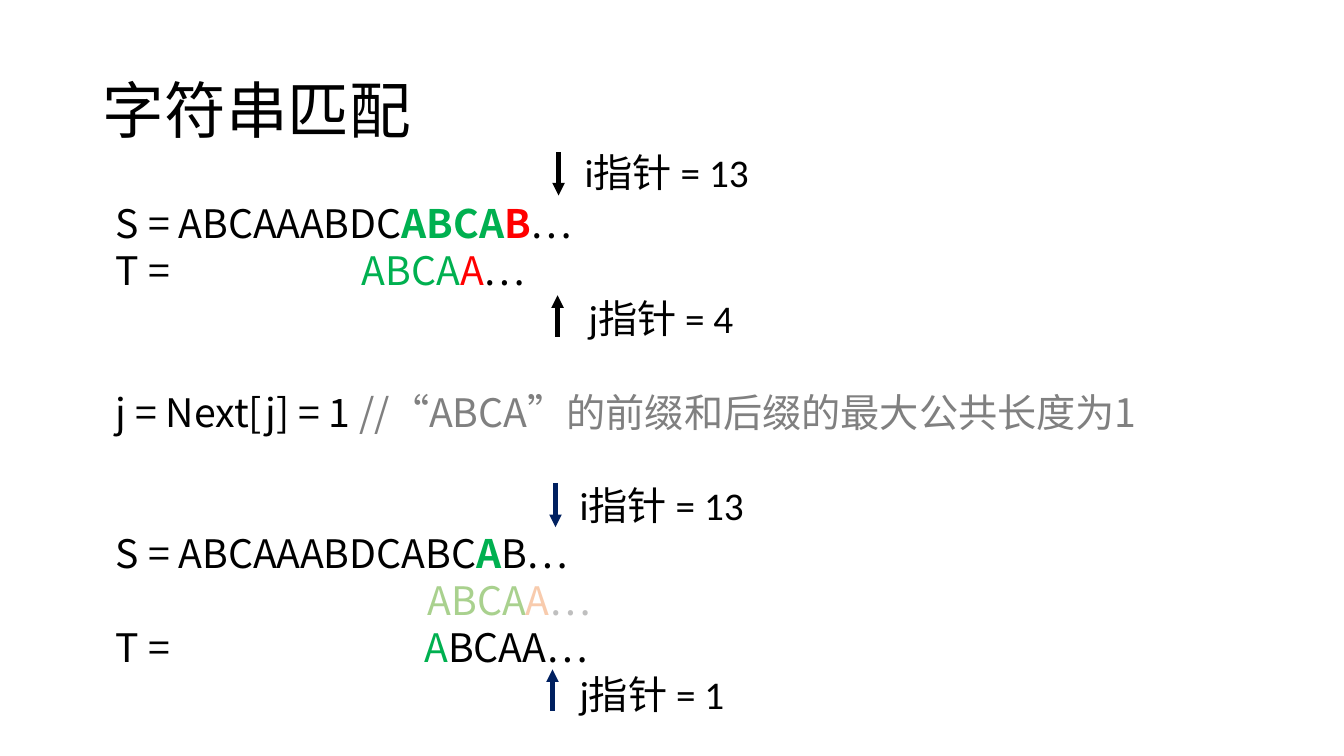
from lxml.etree import SubElement
from pptx import Presentation
from pptx.dml.color import RGBColor
from pptx.enum.shapes import MSO_CONNECTOR as CONN
from pptx.enum.text import MSO_ANCHOR as ANCHOR, MSO_AUTO_SIZE as AUTO, PP_ALIGN as ALIGN
from pptx.oxml.ns import qn
from pptx.util import Inches, Pt

# Content
TITLE = "字符串匹配"

# (row, indent in inches, runs of (text, colour, bold))
LINES = [
    (0, 0, [("S = ABCAAABDC", "text", False), ("ABCA", "match", True),
            ("B", "miss", True), ("…", "text", False)]),
    (1, 0, [("T =", "text", False)]),
    (4, 0, [("j = Next[j] = 1 ", "text", False),
            ("//“ABCA”的前缀和后缀的最大公共长度为1", "comment", False)]),
    (7, 0, [("S = ABCAAABDCABC", "text", False), ("A", "match", True),
            ("B…", "text", False)]),
    (8, 3.09, [("ABCA", "old_match", False), ("A", "old_miss", False),
               ("…", "old_rest", False)]),
    (9, 0, [("T =", "text", False)]),
]

# Pattern T, shifted along its row: (row, shift in inches, runs)
PATTERNS = [
    (1, 2.44, [("ABCA", "match", False), ("A", "miss", False), ("…", "text", False)]),
    (9, 3.06, [("A", "match", False), ("BCAA…", "text", False)]),
]

# (text, label left, label top, arrow x, arrow start y, arrow tip y, arrow colour)
POINTERS = [
    ("i指针 = 13", 5.70, 1.42, 5.54, 1.51, 1.94, "text"),
    ("j指针 = 4", 5.74, 2.87, 5.53, 3.34, 2.93, "text"),
    ("i指针 = 13", 5.65, 4.73, 5.51, 4.79, 5.23, "navy"),
    ("j指针 = 1", 5.65, 6.60, 5.48, 7.05, 6.64, "navy"),
]
LABEL_SIZE = (2.11, 0.57)
BODY_LEFT, BODY_TOP = 1.05, 1.93

THEME = {
    "colors": {"text": "000000", "match": "00B050", "miss": "FF0000",
               "comment": "808080", "old_match": "A9D18E", "old_miss": "F8CBAD",
               "old_rest": "BFBFBF", "navy": "002060"},
    "cjk": "Noto Sans CJK SC", "latin": "Calibri",
    "title": 44, "body": 28, "pitch": 33.65, "arrow": 3,
}


def color(name):
    return RGBColor.from_string(THEME["colors"][name])


def set_attrs(obj, values):
    for name, value in values.items():
        setattr(obj, name, value)


def place(sp, left, top, width, height):
    set_attrs(sp, {"left": Inches(left), "top": Inches(top),
                   "width": Inches(width), "height": Inches(height)})


def add_run(p, text, size, font, name="text", bold=False):
    r = p.add_run()
    r.text = text
    set_attrs(r.font, {"size": Pt(size), "name": font, "bold": bold})
    r.font.color.rgb = color(name)
    SubElement(r.font._element, qn("a:ea"), typeface=THEME["cjk"])


def write_line(p, runs, skipped=0, indent=0):
    """Fill one unbulleted line on the row grid."""
    set_attrs(p, {"line_spacing": Pt(THEME["pitch"]),
                  "space_before": Pt(skipped * THEME["pitch"])})
    pPr = p._p.get_or_add_pPr()
    pPr.set("marL", str(int(Inches(indent))))
    pPr.set("indent", "0")
    SubElement(pPr, qn("a:buNone"))
    for text, name, bold in runs:
        add_run(p, text, THEME["body"], THEME["cjk"], name, bold)


def add_text_box(slide, left, top):
    tf = slide.shapes.add_textbox(
        Inches(left), Inches(top), *map(Inches, LABEL_SIZE)).text_frame
    tf.word_wrap = True
    return tf.paragraphs[0]


def add_arrow(slide, x, start, tip, name):
    line = slide.shapes.add_connector(
        CONN.STRAIGHT, Inches(x), Inches(start), Inches(x), Inches(tip))
    line.line.color.rgb = color(name)
    line.line.width = Pt(THEME["arrow"])
    SubElement(line.line._get_or_add_ln(), qn("a:tailEnd"), type="triangle")
    SubElement(line._element.spPr, qn("a:effectLst"))


def main():
    prs = Presentation()
    set_attrs(prs, {"slide_width": Inches(13.33), "slide_height": Inches(7.5)})
    slide = prs.slides.add_slide(prs.slide_layouts[1])

    # Title
    title, body = slide.placeholders
    place(title, 0.92, 0.4, 11.5, 1.45)
    set_attrs(title.text_frame, {"vertical_anchor": ANCHOR.MIDDLE, "auto_size": AUTO.NONE})
    p = title.text_frame.paragraphs[0]
    set_attrs(p, {"alignment": ALIGN.LEFT, "line_spacing": 0.9})
    add_run(p, TITLE, THEME["title"], THEME["cjk"])

    # Strings being matched
    place(body, BODY_LEFT, BODY_TOP, 11.37, 4.81)
    tf = body.text_frame
    set_attrs(tf, {"vertical_anchor": ANCHOR.TOP, "auto_size": AUTO.NONE})
    next_row = 0
    for row, indent, runs in LINES:
        p = tf.add_paragraph() if row else tf.paragraphs[0]
        write_line(p, runs, row - next_row, indent)
        next_row = row + 1

    # Pattern under the matched text
    for row, shift, runs in PATTERNS:
        top = BODY_TOP + row * THEME["pitch"] / 72
        write_line(add_text_box(slide, BODY_LEFT + shift, top), runs)

    # Pointer arrows and labels
    for text, left, top, x, start, tip, name in POINTERS:
        add_arrow(slide, x, start, tip, name)
        add_run(add_text_box(slide, left, top), text, THEME["body"], THEME["latin"])

    prs.save("out.pptx")


if __name__ == "__main__":
    main()
